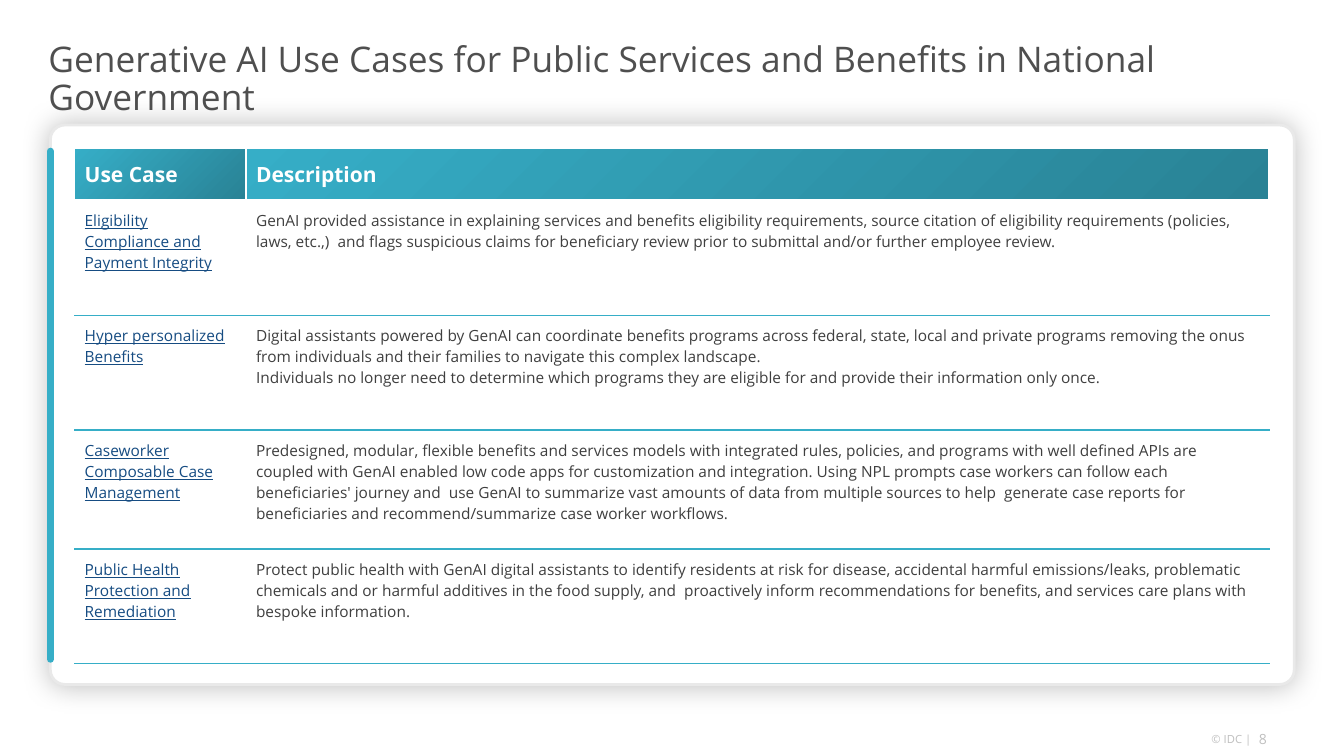
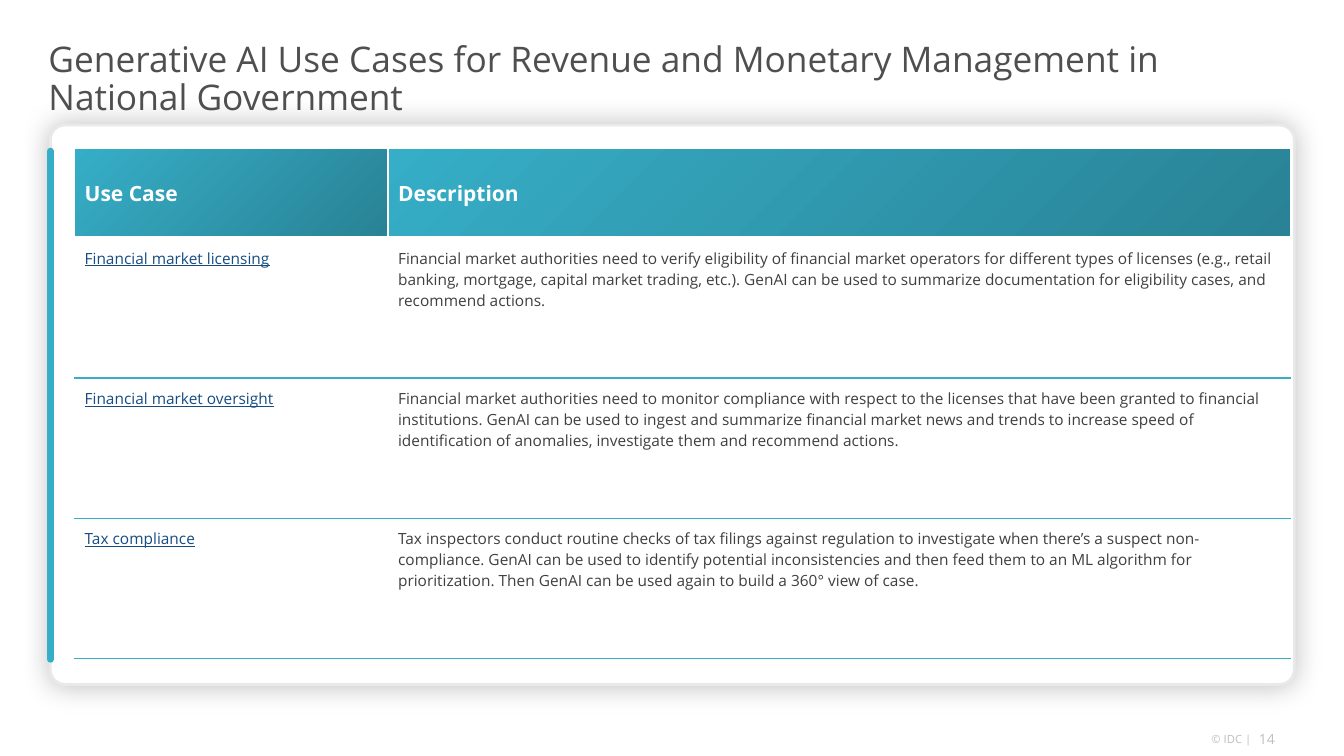
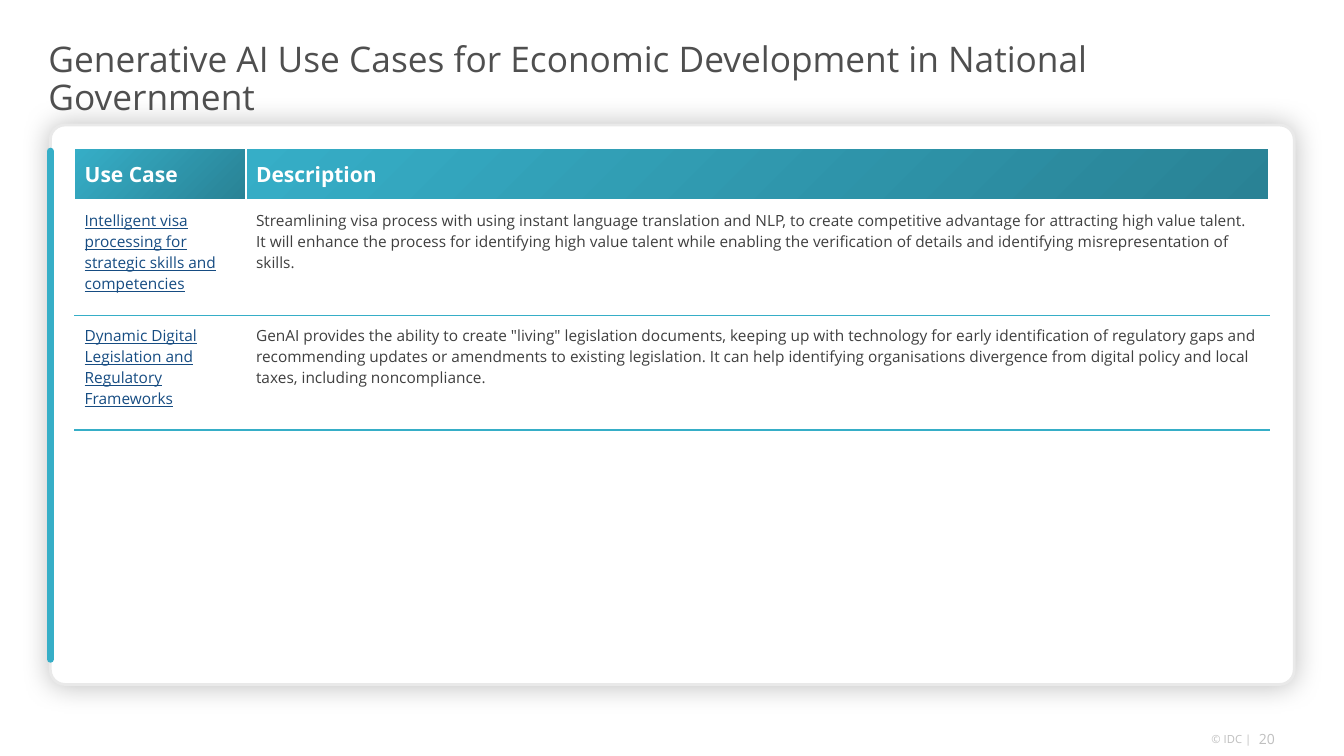
from lxml import etree
from pptx import Presentation
from pptx.dml.color import RGBColor
from pptx.enum.shapes import MSO_CONNECTOR, MSO_SHAPE
from pptx.enum.text import MSO_ANCHOR
from pptx.oxml import parse_xml
from pptx.oxml.ns import nsdecls, qn
from pptx.util import Pt

ROUNDED = MSO_SHAPE.ROUNDED_RECTANGLE
STRAIGHT = MSO_CONNECTOR.STRAIGHT
TOP, MIDDLE = MSO_ANCHOR.TOP, MSO_ANCHOR.MIDDLE

WHITE = RGBColor(0xFF, 0xFF, 0xFF)
TEAL = RGBColor(0x36, 0xAE, 0xC7)
DEEP_TEAL = RGBColor(0x29, 0x82, 0x95)
LINK_BLUE = RGBColor(0x16, 0x4C, 0x82)
BODY_GREY = RGBColor(0x3F, 0x3F, 0x3F)
TITLE_GREY = RGBColor(0x4F, 0x4F, 0x4F)
FOOTER_GREY = RGBColor(0xBF, 0xBF, 0xBF)
CARD_EDGE = RGBColor(0xE9, 0xE9, 0xE9)

FONT = "Open Sans"
CARD = (36, 89.3, 888.5, 399.6)
TITLE = (34.6, 23.8, 890, 67)
TABLE_LEFT, TABLE_TOP = 53.3, 105.8
HEADINGS = ("Use Case", "Description")

SLIDES = [
    dict(
        number=8,
        title="Generative AI Use Cases for Public Services and Benefits in National Government",
        columns=(122.4, 730.8),
        rows=(37.4, 82, 82, 85, 82),
        use_cases=[
            ("Eligibility Compliance and Payment Integrity",
             "GenAI provided assistance in explaining services and benefits eligibility requirements, "
             "source citation of eligibility requirements (policies, laws, etc.,)  and flags suspicious "
             "claims for beneficiary review prior to submittal and/or further employee review."),
            ("Hyper personalized Benefits",
             "Digital assistants powered by GenAI can coordinate benefits programs across federal, state, "
             "local and private programs removing the onus from individuals and their families to navigate "
             "this complex landscape.\n"
             "Individuals no longer need to determine which programs they are eligible for and provide "
             "their information only once."),
            ("Caseworker Composable Case Management",
             "Predesigned, modular, flexible benefits and services models with integrated rules, policies, "
             "and programs with well defined APIs are coupled with GenAI enabled low code apps for "
             "customization and integration. Using NPL prompts case workers can follow each beneficiaries' "
             "journey and  use GenAI to summarize vast amounts of data from multiple sources to help  "
             "generate case reports for beneficiaries and recommend/summarize case worker workflows."),
            ("Public Health Protection and Remediation",
             "Protect public health with GenAI digital assistants to identify residents at risk for disease, "
             "accidental harmful emissions/leaks, problematic chemicals and or harmful additives in the food "
             "supply, and  proactively inform recommendations for benefits, and services care plans with "
             "bespoke information."),
        ],
    ),
    dict(
        number=14,
        title="Generative AI Use Cases for Revenue and Monetary Management in National Government",
        columns=(223.9, 644.4),
        rows=(64, 100.2, 100.2, 100.2),
        use_cases=[
            ("Financial market licensing",
             "Financial market authorities need to verify eligibility of financial market operators for "
             "different types of licenses (e.g., retail banking, mortgage, capital market trading, etc.). "
             "GenAI can be used to summarize documentation for eligibility cases, and recommend actions."),
            ("Financial market oversight",
             "Financial market authorities need to monitor compliance with respect to the licenses that have "
             "been granted to financial institutions. GenAI can be used to ingest and summarize financial "
             "market news and trends to increase speed of identification of anomalies, investigate them and "
             "recommend actions."),
            ("Tax compliance",
             "Tax inspectors conduct routine checks of tax filings against regulation to investigate when "
             "there’s a suspect non-compliance. GenAI can be used to identify potential inconsistencies and "
             "then feed them to an ML algorithm for prioritization. Then GenAI can be used again to build a "
             "360° view of case."),
        ],
    ),
    dict(
        number=20,
        title="Generative AI Use Cases for Economic Development in National Government",
        columns=(122.4, 730.8),
        rows=(37.4, 82, 82),
        use_cases=[
            ("Intelligent visa processing for strategic skills and competencies",
             "Streamlining visa process with using instant language translation and NLP, to create "
             "competitive advantage for attracting high value talent. It will enhance the process for "
             "identifying high value talent while enabling the verification of details and identifying "
             "misrepresentation of skills."),
            ("Dynamic Digital Legislation and Regulatory Frameworks",
             "GenAI provides the ability to create \"living\" legislation documents, keeping up with "
             "technology for early identification of regulatory gaps and recommending updates or amendments "
             "to existing legislation. It can help identifying organisations divergence from digital policy "
             "and local taxes, including noncompliance."),
        ],
    ),
]


def write(frame, text, size, color, bold=False, underline=False, spacing=1.0):
    """Fill a text frame, one paragraph for each line of text."""
    frame.word_wrap = True
    for index, line in enumerate(text.split("\n")):
        paragraph = frame.add_paragraph() if index else frame.paragraphs[0]
        paragraph.line_spacing = spacing
        run = paragraph.add_run()
        run.text = line
        font = run.font
        font.name, font.size, font.color.rgb = FONT, Pt(size), color
        font.bold, font.underline = bold, underline


def add_text(slide, box, text, anchor=TOP, **text_format):
    frame = slide.shapes.add_textbox(*map(Pt, box)).text_frame
    frame.margin_left = frame.margin_top = frame.margin_right = frame.margin_bottom = 0
    frame.vertical_anchor = anchor
    write(frame, text, **text_format)


def add_footer(slide, left, top, number):
    add_text(slide, (left + 33.8, top, 29.5, 12), str(number), size=10, color=FOOTER_GREY)
    add_text(slide, (left, top + 1.4, 33.8, 9.4), "© IDC |", size=8, color=FOOTER_GREY)


def add_card(slide, left, top, width, height):
    """White rounded panel with a soft shadow and a teal bar on its left edge."""
    panel = slide.shapes.add_shape(ROUNDED, *map(Pt, (left, top, width, height)))
    panel.adjustments[0] = 0.026
    panel.fill.solid()
    panel.fill.fore_color.rgb = WHITE
    panel.line.color.rgb = CARD_EDGE
    panel.line.width = Pt(2)
    panel.shadow.inherit = False
    glow = parse_xml(
        f'<a:outerShdw {nsdecls("a")} blurRad="{Pt(20)}" dist="0" dir="2700000" algn="ctr" '
        'rotWithShape="0"><a:srgbClr val="000000"><a:alpha val="25000"/></a:srgbClr></a:outerShdw>')
    panel._element.spPr.find(qn("a:effectLst")).append(glow)

    bar = slide.shapes.add_connector(
        STRAIGHT, Pt(left), Pt(top + 18.7), Pt(left), Pt(top + height - 18))
    bar.line.color.rgb = TEAL
    bar.line.width = Pt(5)
    bar.line._get_or_add_ln().set("cap", "rnd")
    etree.SubElement(bar._element.spPr, qn("a:effectLst"))


def set_borders(cell, **borders):
    """Draw borders given as side=(color, width), sides in the order L, R, T, B."""
    properties = cell._tc.get_or_add_tcPr()
    for side, (color, width) in borders.items():
        properties.append(parse_xml(
            f'<a:ln{side} {nsdecls("a")} w="{Pt(width)}"><a:solidFill><a:srgbClr val="{color}"/>'
            f'</a:solidFill><a:prstDash val="solid"/></a:ln{side}>'))


def style_heading(cell, text):
    edge = (WHITE, 1)
    set_borders(cell, L=edge, R=edge, T=edge, B=(WHITE, 3))
    cell.fill.gradient()
    cell.fill.gradient_angle = 315
    for stop, position, color in zip(cell.fill.gradient_stops, (0, 1), (TEAL, DEEP_TEAL)):
        stop.position, stop.color.rgb = position, color
    cell.vertical_anchor = MIDDLE
    write(cell.text_frame, text, size=15, color=WHITE, bold=True)


def style_entry(cell, text, is_first_row, is_link):
    edge = (WHITE, 1)
    set_borders(cell, L=edge, R=edge, T=(WHITE, 3) if is_first_row else (TEAL, 1), B=(TEAL, 1))
    cell.fill.background()
    cell.margin_top = Pt(7.2)
    write(cell.text_frame, text, size=11, color=LINK_BLUE if is_link else BODY_GREY,
          underline=is_link)


def add_use_case_table(slide, left, top, columns, rows, use_cases):
    table = slide.shapes.add_table(
        len(rows), len(columns), Pt(left), Pt(top), Pt(sum(columns)), Pt(sum(rows))).table
    table.horz_banding = False
    for column, width in zip(table.columns, columns):
        column.width = Pt(width)
    for row, height in zip(table.rows, rows):
        row.height = Pt(height)
    for column, heading in enumerate(HEADINGS):
        style_heading(table.cell(0, column), heading)
    for row, use_case in enumerate(use_cases, start=1):
        for column, text in enumerate(use_case):
            style_entry(table.cell(row, column), text, row == 1, column == 0)


def add_use_case_slide(deck, number, title, columns, rows, use_cases):
    slide = deck.slides.add_slide(deck.slide_layouts[6])
    add_footer(slide, 865.4, 522, number)
    add_card(slide, *CARD)
    add_text(slide, TITLE, title, anchor=MIDDLE, size=25.2, color=TITLE_GREY, spacing=0.9)
    add_use_case_table(slide, TABLE_LEFT, TABLE_TOP, columns, rows, use_cases)


def main():
    deck = Presentation()
    deck.slide_width, deck.slide_height = Pt(960), Pt(540)
    for content in SLIDES:
        add_use_case_slide(deck, **content)
    deck.save("out.pptx")


if __name__ == "__main__":
    main()
